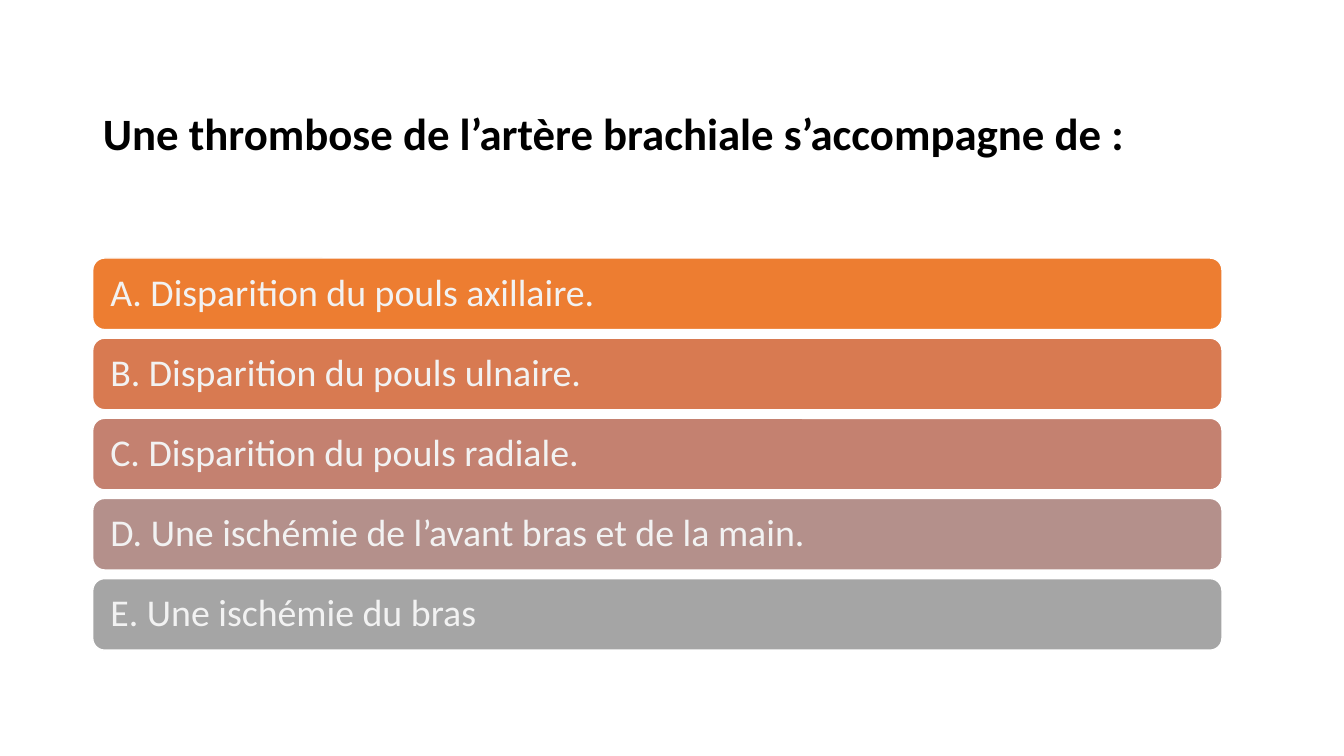
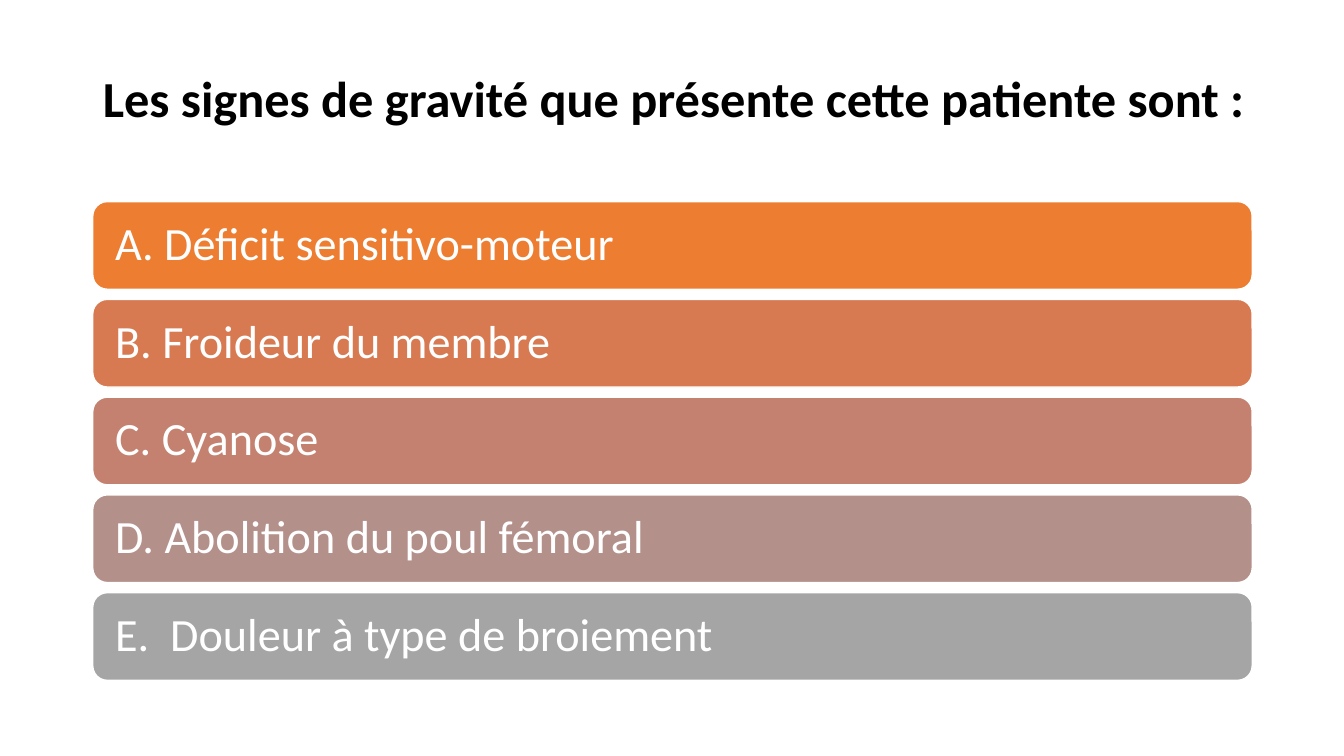
from dataclasses import dataclass

from pptx import Presentation
from pptx.dml.color import RGBColor
from pptx.enum.shapes import MSO_SHAPE as Shape
from pptx.enum.text import MSO_ANCHOR as Anchor, MSO_AUTO_SIZE as AutoSize, PP_ALIGN as Align
from pptx.util import Inches, Pt


# Shared style
@dataclass(frozen=True)
class Theme:
    font: str = "Calibri"
    title_color: str = "000000"
    outline: str = "FFFFFF"
    soft_text: str = "F2F2F2"
    bright_text: str = "FFFFFF"
    bars: tuple = ("ED7D31", "D87A51", "C48170", "B4908B", "A5A5A5")
    title_small: int = 32
    title_large: int = 36
    answer_small: int = 27
    answer_large: int = 33
    line_spacing: float = 0.9


class Quiz:
    def __init__(self, theme):
        self.theme = theme
        self.prs = Presentation()
        self.prs.slide_width, self.prs.slide_height = Inches(13.33), Inches(7.5)
        self.s = None

    def add_slide(self):
        self.s = self.prs.slides.add_slide(self.prs.slide_layouts[5])

    def set_text(self, sp, text, size, color, bold=False):
        tf = sp.text_frame
        tf.text = text
        tf.word_wrap = True
        tf.auto_size = AutoSize.NONE
        tf.vertical_anchor = Anchor.MIDDLE
        p = tf.paragraphs[0]
        p.alignment = Align.LEFT
        p.line_spacing = self.theme.line_spacing
        p.font.name = self.theme.font
        p.font.size = Pt(size)
        p.font.bold = bold
        p.font.color.rgb = RGBColor.from_string(color)

    def question(self, text, top, height, size):
        sp = self.s.shapes.title
        sp.left, sp.top = Inches(0.92), Inches(top)
        sp.width, sp.height = Inches(11.76), Inches(height)
        self.set_text(sp, text, size, self.theme.title_color, bold=True)

    def answers(self, texts, top, last_top, width, height, inset, size, color):
        pitch = (last_top - top) / (len(texts) - 1)
        for i, (text, fill) in enumerate(zip(texts, self.theme.bars)):
            sp = self.s.shapes.add_shape(
                Shape.ROUNDED_RECTANGLE, Inches(0.92), Inches(top + i * pitch),
                Inches(width), Inches(height))
            sp.shadow.inherit = False
            sp.fill.solid()
            sp.fill.fore_color.rgb = RGBColor.from_string(fill)
            sp.line.color.rgb = RGBColor.from_string(self.theme.outline)
            sp.line.width = Pt(1)
            sp.text_frame.margin_left = sp.text_frame.margin_right = Inches(inset)
            self.set_text(sp, text, size, color)


def main():
    theme = Theme()
    quiz = Quiz(theme)

    # Brachial artery thrombosis
    quiz.add_slide()
    quiz.question("Une thrombose de l’artère brachiale s’accompagne de :",
                  1.03, 0.64, theme.title_small)
    quiz.answers(["A. Disparition du pouls axillaire.",
                  "B. Disparition du pouls ulnaire.",
                  "C. Disparition du pouls radiale.",
                  "D. Une ischémie de l’avant bras et de la main.",
                  "E. Une ischémie du bras"],
                 top=2.56, last_top=5.74, width=11.2, height=0.71, inset=0.14,
                 size=theme.answer_small, color=theme.soft_text)

    # Signs of severity
    quiz.add_slide()
    quiz.question("Les signes de gravité que présente cette patiente sont :",
                  0.28, 1.45, theme.title_large)
    quiz.answers(["A. Déficit sensitivo-moteur",
                  "B. Froideur du membre",
                  "C. Cyanose",
                  "D. Abolition du poul fémoral",
                  "E.  Douleur à type de broiement"],
                 top=2, last_top=5.88, width=11.5, height=0.87, inset=0.18,
                 size=theme.answer_large, color=theme.bright_text)

    quiz.prs.save("out.pptx")


if __name__ == "__main__":
    main()
